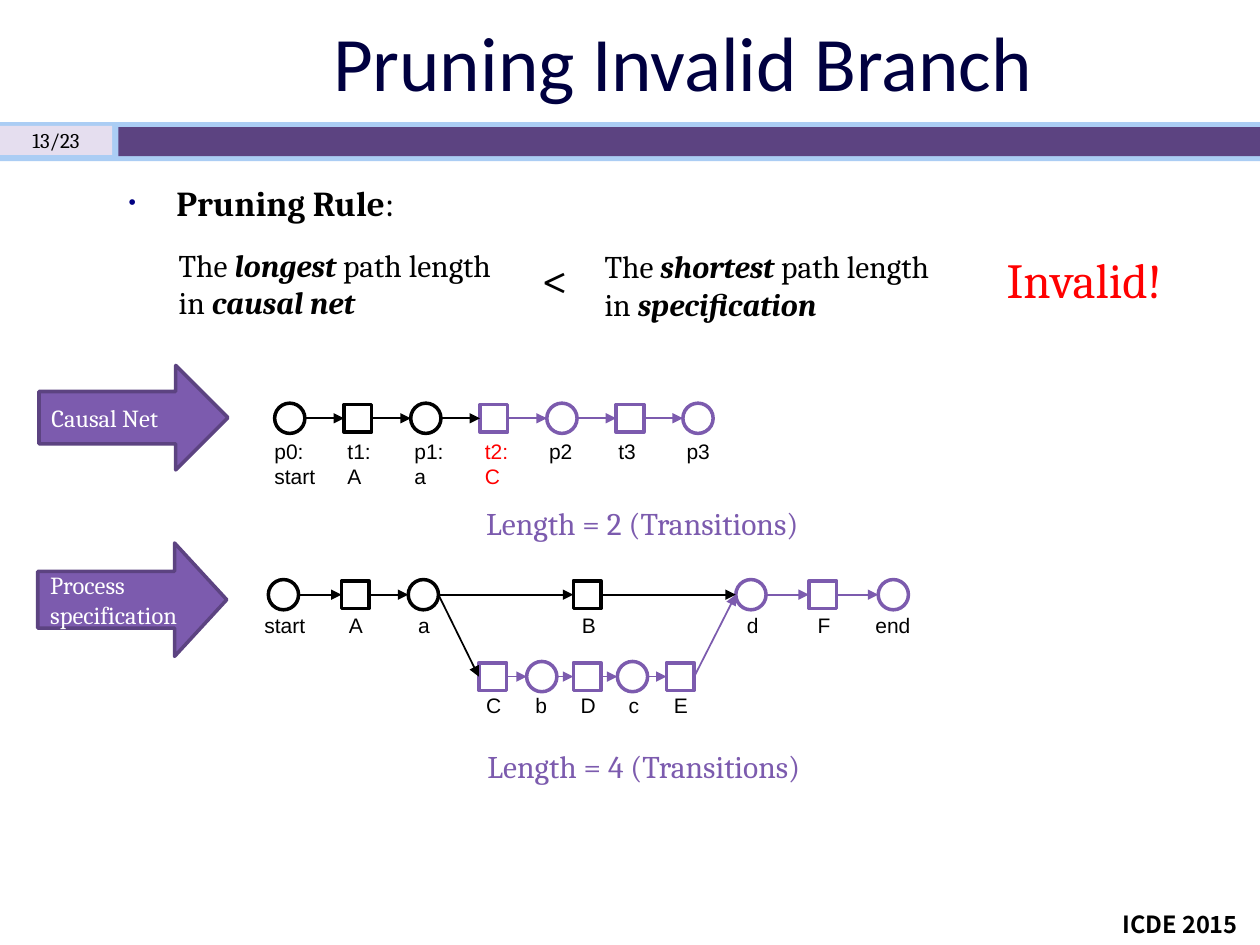
from itertools import pairwise

from lxml import etree
from pptx import Presentation
from pptx.dml.color import RGBColor
from pptx.enum.shapes import MSO_CONNECTOR, MSO_SHAPE
from pptx.enum.text import MSO_ANCHOR, MSO_AUTO_SIZE, PP_ALIGN
from pptx.oxml.ns import qn
from pptx.util import Emu, Pt

RECTANGLE = MSO_SHAPE.RECTANGLE
OVAL = MSO_SHAPE.OVAL
RIGHT_ARROW = MSO_SHAPE.RIGHT_ARROW
STRAIGHT = MSO_CONNECTOR.STRAIGHT
MIDDLE = MSO_ANCHOR.MIDDLE
LEFT = PP_ALIGN.LEFT
CENTER = PP_ALIGN.CENTER
FIT_SHAPE = MSO_AUTO_SIZE.SHAPE_TO_FIT_TEXT
NO_FIT = MSO_AUTO_SIZE.NONE

EMU_PER_PX = 9144
LEFT_SIDE, RIGHT_SIDE = 1, 3
BLACK, WHITE, RED = "000000", "FFFFFF", "FF0000"
PURPLE, DARK_PURPLE = "7C5BAE", "5C4381"
CIRCLE, SQUARE = 24, 22


def px(length):
    return Emu(length * EMU_PER_PX)


def color(value):
    return RGBColor.from_string(value)


class SlideBuilder:
    serif = "Cambria"
    sans = "Arial"

    def __init__(self, page):
        self.page = page

    def place(self, item, bounds):
        item.left, item.top, item.width, item.height = map(px, bounds)

    def fill_text(self, frame, text, size, ink=BLACK, font=None, align=LEFT, bold=None, italic=True):
        for index, line in enumerate(text.split("\n")):
            para = frame.paragraphs[0] if index == 0 else frame.add_paragraph()
            para.alignment = align
            para.font.name = font or self.serif
            para.font.size = Pt(size)
            para.font.color.rgb = color(ink)
            para.font.bold = bold
            for position, part in enumerate(line.split("*")):
                if part:
                    span = para.add_run()
                    span.text = part
                    if position % 2:
                        span.font.bold = True
                        span.font.italic = italic

    def title(self, text, bounds):
        holder = self.page.shapes.title
        self.place(holder, bounds)
        holder.text_frame.vertical_anchor = MIDDLE
        holder.text_frame.auto_size = NO_FIT
        self.fill_text(holder.text_frame, text, 44, "000040", "Calibri", CENTER)

    def body(self, text, bounds):
        holder = self.page.placeholders[1]
        self.place(holder, bounds)
        frame = holder.text_frame
        frame.auto_size = NO_FIT
        para = frame.paragraphs[0]
        para.space_before = Pt(0)
        properties = para._p.get_or_add_pPr()
        properties.set("marL", str(px(38)))
        properties.set("indent", str(px(-38)))
        bullet_color = etree.SubElement(properties, qn("a:buClr"))
        etree.SubElement(bullet_color, qn("a:srgbClr"), val="000082")
        etree.SubElement(properties, qn("a:buSzPct"), val="60000")
        etree.SubElement(properties, qn("a:buChar"), char="•")
        self.fill_text(frame, text, 20, italic=None)

    def text(self, text, bounds, size, wrap=True, anchor=None, fit=FIT_SHAPE, **style):
        box = self.page.shapes.add_textbox(*map(px, bounds))
        frame = box.text_frame
        frame.word_wrap = wrap
        frame.auto_size = fit
        if anchor is not None:
            frame.vertical_anchor = anchor
        self.fill_text(frame, text, size, **style)

    def shape(self, kind, bounds, fill=None, line=None):
        shape = self.page.shapes.add_shape(kind, *map(px, bounds))
        shape.shadow.inherit = False
        if fill:
            shape.fill.solid()
            shape.fill.fore_color.rgb = color(fill)
        else:
            shape.fill.background()
        if line:
            shape.line.color.rgb = color(line)
            shape.line.width = Pt(2)
        else:
            shape.line.fill.background()
        return shape

    def callout(self, text, bounds, head=0.5):
        arrow = self.shape(RIGHT_ARROW, bounds, PURPLE, DARK_PURPLE)
        arrow.adjustments[1] = head
        arrow.text_frame.vertical_anchor = MIDDLE
        self.fill_text(arrow.text_frame, text, 14, WHITE)

    def node(self, size, center_x, center_y, ink):
        kind = OVAL if size == CIRCLE else RECTANGLE
        return self.shape(kind, (center_x - size // 2, center_y - size // 2, size, size), line=ink)

    def edge(self, source, target):
        connector = self.page.shapes.add_connector(
            STRAIGHT, source.left + source.width, source.top + source.height // 2,
            target.left, target.top + target.height // 2)
        if source.auto_shape_type == RECTANGLE:
            connector.begin_connect(source, RIGHT_SIDE)
        if target.auto_shape_type == RECTANGLE:
            connector.end_connect(target, LEFT_SIDE)
        connector.line.color.rgb = source.line.color.rgb
        connector.line.width = Pt(1)
        properties = connector._element.spPr
        etree.SubElement(properties.find(qn("a:ln")), qn("a:tailEnd"), type="triangle")
        etree.SubElement(properties, qn("a:effectLst"))

    def net(self, nodes, chains, center_y, label_top):
        shapes = {}
        for label, size, center_x, row, ink, label_left, label_width, label_ink in nodes:
            name = label.split("\n")[0]
            shapes[name] = self.node(size, center_x, center_y[row], ink)
            height = 30 + 20 * label.count("\n")
            self.text(label, (label_left, label_top[row], label_width, height), 12,
                      font=self.sans, ink=label_ink)
        for chain in chains:
            for source, target in pairwise(chain):
                self.edge(shapes[source], shapes[target])


def causal_net(builder):
    labels = [
        ("p0:\nstart", 208, 60), ("t1:\nA", 266, 43), ("p1:\na", 319, 45), ("t2:\nC", 375, 46),
        ("p2", 426, 46), ("t3", 481, 35), ("p3", 535, 39),
    ]
    nodes = [
        (label, SQUARE if index % 2 else CIRCLE, 230 + 54 * index, 0,
         BLACK if index < 3 else PURPLE, left, width, RED if index == 3 else BLACK)
        for index, (label, left, width) in enumerate(labels)
    ]
    chain = [label.split("\n")[0] for label, _, _ in labels]
    builder.net(nodes, [chain], [332], [343])


def specification_net(builder):
    places = [
        ("start", CIRCLE, 225, 0, BLACK, 200, 60), ("A", SQUARE, 282, 0, BLACK, 267, 27),
        ("a", CIRCLE, 336, 0, BLACK, 322, 27), ("B", SQUARE, 466, 0, BLACK, 452, 28),
        ("d", CIRCLE, 596, 0, PURPLE, 583, 27), ("F", SQUARE, 653, 0, PURPLE, 639, 27),
        ("end", CIRCLE, 709, 0, PURPLE, 685, 57), ("C", SQUARE, 391, 1, PURPLE, 376, 27),
        ("b", CIRCLE, 430, 1, PURPLE, 415, 27), ("D", SQUARE, 466, 1, PURPLE, 451, 26),
        ("c", CIRCLE, 502, 1, PURPLE, 489, 26), ("E", SQUARE, 540, 1, PURPLE, 525, 25),
    ]
    nodes = [(*place, BLACK) for place in places]
    chains = [["start", "A", "a", "B", "d", "F", "end"], ["a", "C", "b", "D", "c", "E", "d"]]
    builder.net(nodes, chains, [472, 537], [481, 545])


def main():
    deck = Presentation()
    deck.slide_width, deck.slide_height = px(1000), px(750)
    builder = SlideBuilder(deck.slides.add_slide(deck.slide_layouts[1]))

    builder.shape(RECTANGLE, (0, 97, 1000, 31), "ABCDF4")
    builder.shape(RECTANGLE, (0, 100, 89, 23), "E5DEEF")
    builder.shape(RECTANGLE, (94, 101, 906, 23), DARK_PURPLE)
    builder.title("Pruning Invalid Branch", (92, 3, 900, 90))
    builder.text("13/23", (0, 96, 89, 31), 12, anchor=MIDDLE, fit=NO_FIT, align=CENTER)

    builder.body("*Pruning Rule*:", (92, 139, 867, 579))
    builder.text("The *longest* path length\nin *causal net*", (132, 190, 289, 71), 18)
    builder.text("The *shortest* path length\nin *specification*", (470, 191, 317, 71), 18)
    builder.text("<", (420, 192, 42, 57), 28, wrap=False)
    builder.text("Invalid!", (789, 193, 147, 57), 28, wrap=False, ink=RED)

    builder.callout("Causal Net", (31, 290, 150, 83))
    causal_net(builder)
    builder.text("Length = 2 (Transitions)", (376, 395, 281, 40), 18, wrap=False, ink=PURPLE)

    builder.callout("Process\nspecification", (30, 431, 150, 90), 0.46)
    specification_net(builder)
    builder.text("Length = 4 (Transitions)", (377, 588, 281, 40), 18, wrap=False, ink=PURPLE)

    builder.text("ICDE 2015", (881, 717, 118, 33), 13.5, wrap=False, font="Noto Sans CJK SC", bold=True)
    deck.save("out.pptx")


if __name__ == "__main__":
    main()
